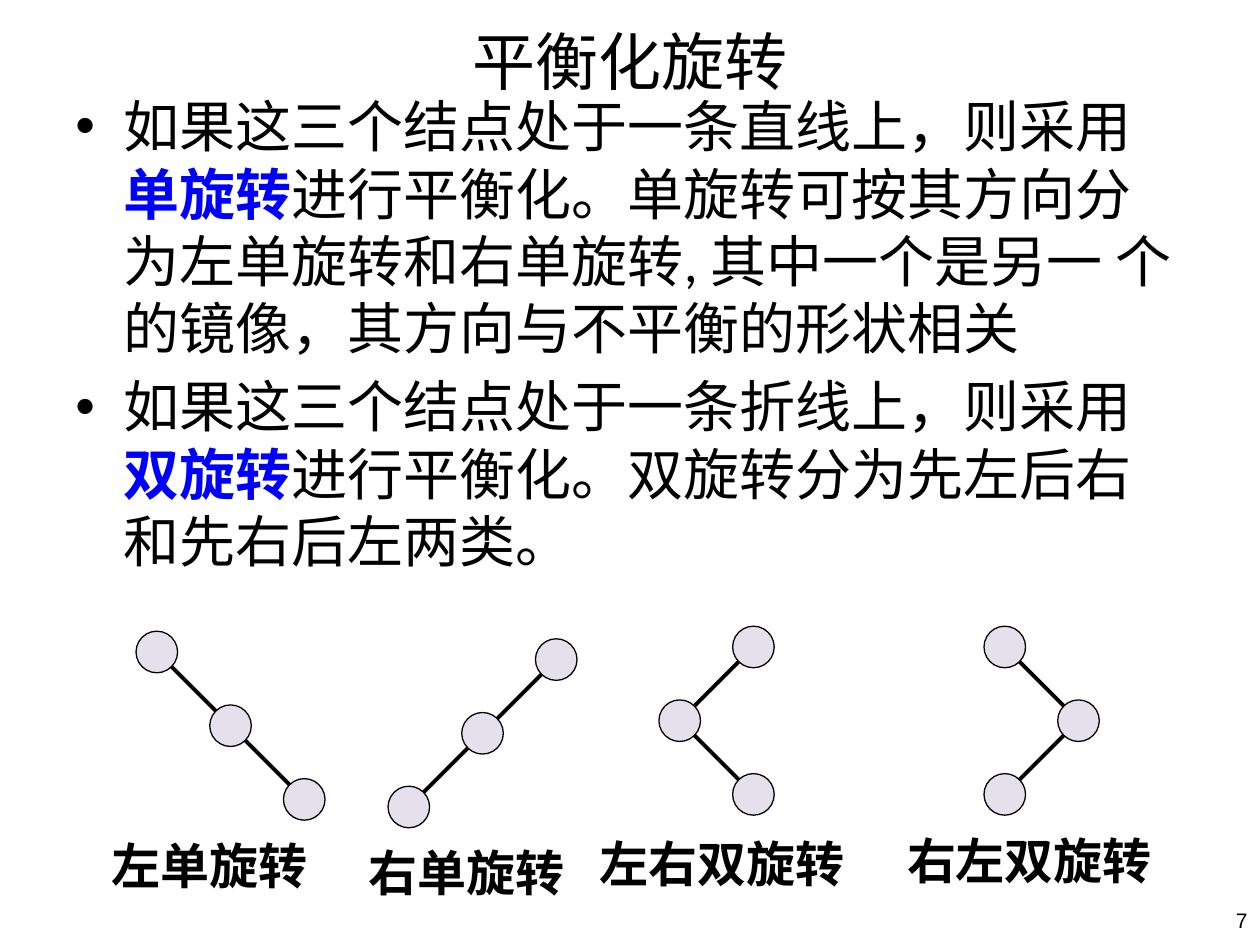
from dataclasses import dataclass
from math import copysign

from lxml.etree import SubElement
from pptx import Presentation
from pptx.dml.color import RGBColor
from pptx.enum.shapes import MSO_CONNECTOR, MSO_SHAPE
from pptx.enum.text import MSO_ANCHOR, MSO_AUTO_SIZE, PP_ALIGN
from pptx.oxml.ns import qn
from pptx.util import Inches, Pt


@dataclass(frozen=True)
class Theme:
    ink: RGBColor = RGBColor(0x00, 0x00, 0x00)
    accent: RGBColor = RGBColor(0x00, 0x00, 0xFF)
    node: RGBColor = RGBColor(0xE6, 0xE0, 0xEC)
    text_font: str = "Calibri"
    label_font: str = "Noto Sans CJK SC"
    number_font: str = "Arial"
    title_size: Pt = Pt(36)
    body_size: Pt = Pt(32)
    label_size: Pt = Pt(28)
    number_size: Pt = Pt(12)
    outline: Pt = Pt(0.75)
    edge: Pt = Pt(2.25)


THEME = Theme()
NODE_SIZE = 0.33
NODE_STEP = 0.585
EDGE_TRIM = 0.085

TITLE = "平衡化旋转"
# Each paragraph: opening, highlighted term, remainder
RULES = [
    ("如果这三个结点处于一条直线上，则采用", "单旋转",
     "进行平衡化。单旋转可按其方向分为左单旋转和右单旋转, 其中一个是另一 个的镜像，其方向与不平衡的形状相关"),
    ("如果这三个结点处于一条折线上，则采用", "双旋转",
     "进行平衡化。双旋转分为先左后右和先右后左两类。"),
]
# Nodes are (column, row); edges are (start, end, whether the end is trimmed)
CHAIN_EDGES = [(0, 2, True)]
TREES = [
    dict(label="右单旋转", corner=(3.08, 5.07), label_box=(2.83, 6.64, 1.76, 0.57),
         nodes=[(2, 0), (1, 1), (0, 2)], edges=CHAIN_EDGES),
    dict(label="左单旋转", corner=(1.08, 5.01), label_box=(0.79, 6.58, 1.76, 0.57),
         nodes=[(0, 0), (1, 1), (2, 2)], edges=CHAIN_EDGES),
    dict(label="左右双旋转", corner=(5.23, 4.97), label_box=(4.66, 6.57, 2.15, 0.57),
         nodes=[(1, 0), (0, 1), (1, 2)], edges=[(1, 0, False), (1, 2, False)]),
    dict(label="右左双旋转", corner=(7.81, 4.97), label_box=(7.1, 6.54, 2.15, 0.57),
         nodes=[(0, 0), (1, 1), (0, 2)], edges=[(0, 1, False), (2, 1, False)]),
]


def apply(target, values):
    for name, value in values.items():
        setattr(target, name, value)


def add_span(para, text, name, size, color=THEME.ink, bold=False):
    span = para.add_run()
    span.text = text
    apply(span.font, dict(name=name, size=size, bold=bold))
    span.font.color.rgb = color


def add_title(page, box):
    title = page.shapes.title
    apply(title, dict(zip(("left", "top", "width", "height"), map(Inches, box))))
    title.text_frame.vertical_anchor = MSO_ANCHOR.MIDDLE
    para = title.text_frame.paragraphs[0]
    para.alignment = PP_ALIGN.CENTER
    add_span(para, TITLE, THEME.text_font, THEME.title_size)


def add_bullet(para, indent):
    properties = para._p.get_or_add_pPr()
    properties.set("marL", str(Inches(indent)))
    properties.set("indent", str(-Inches(indent)))
    SubElement(properties, qn("a:buFont")).set("typeface", "Arial")
    SubElement(properties, qn("a:buChar")).set("char", "•")


def add_rules(page, box):
    frame = page.shapes.add_textbox(*map(Inches, box)).text_frame
    frame.word_wrap = True
    for index, (opening, term, remainder) in enumerate(RULES):
        para = frame.add_paragraph() if index else frame.paragraphs[0]
        add_bullet(para, 0.38)
        para.space_before = Pt(6.4) if index else Pt(0)
        add_span(para, opening, THEME.text_font, THEME.body_size)
        add_span(para, term, THEME.text_font, THEME.body_size, THEME.accent, True)
        add_span(para, remainder, THEME.text_font, THEME.body_size)


def add_edge(shapes, start, end, trim_end):
    # Edges run on a diagonal, so both axes are trimmed equally
    shift = [copysign(EDGE_TRIM, b - a) for a, b in zip(start, end)]
    begin = [a + s for a, s in zip(start, shift)]
    finish = [b - s if trim_end else b for b, s in zip(end, shift)]
    edge = shapes.add_connector(MSO_CONNECTOR.STRAIGHT, *map(Inches, begin + finish))
    edge.line.color.rgb = THEME.ink
    edge.line.width = THEME.edge
    SubElement(edge._element.spPr, qn("a:effectLst"))


def add_node(shapes, center):
    left, top = (value - NODE_SIZE / 2 for value in center)
    node = shapes.add_shape(MSO_SHAPE.OVAL, *map(Inches, (left, top, NODE_SIZE, NODE_SIZE)))
    node.shadow.inherit = False
    node.fill.solid()
    node.fill.fore_color.rgb = THEME.node
    node.line.color.rgb = THEME.ink
    node.line.width = THEME.outline


def add_tree(page, label, corner, label_box, nodes, edges):
    shapes = page.shapes.add_group_shape().shapes
    centers = [tuple(origin + NODE_SIZE / 2 + NODE_STEP * cell
                     for origin, cell in zip(corner, node)) for node in nodes]
    # Edges lie behind the nodes
    for start, end, trim_end in edges:
        add_edge(shapes, centers[start], centers[end], trim_end)
    for center in centers:
        add_node(shapes, center)
    # Caption
    frame = shapes.add_textbox(*map(Inches, label_box)).text_frame
    apply(frame, dict(word_wrap=False, auto_size=MSO_AUTO_SIZE.SHAPE_TO_FIT_TEXT))
    add_span(frame.paragraphs[0], label, THEME.label_font, THEME.label_size, bold=True)


def add_page_number(page, box):
    frame = page.shapes.add_textbox(*map(Inches, box)).text_frame
    apply(frame, dict(word_wrap=True, vertical_anchor=MSO_ANCHOR.MIDDLE))
    para = frame.paragraphs[0]
    para.alignment = PP_ALIGN.RIGHT
    add_span(para, "7", THEME.number_font, THEME.number_size)


def main():
    deck = Presentation()
    apply(deck, dict(slide_width=Inches(10), slide_height=Inches(7.5)))
    page = deck.slides.add_slide(deck.slide_layouts[5])
    add_title(page, (0.5, -0.03, 9, 1.02))
    add_rules(page, (0.5, 0.68, 9, 6.82))
    add_page_number(page, (9.57, 7.1, 0.43, 0.4))
    for tree in TREES:
        add_tree(page, **tree)
    deck.save("out.pptx")


if __name__ == "__main__":
    main()
